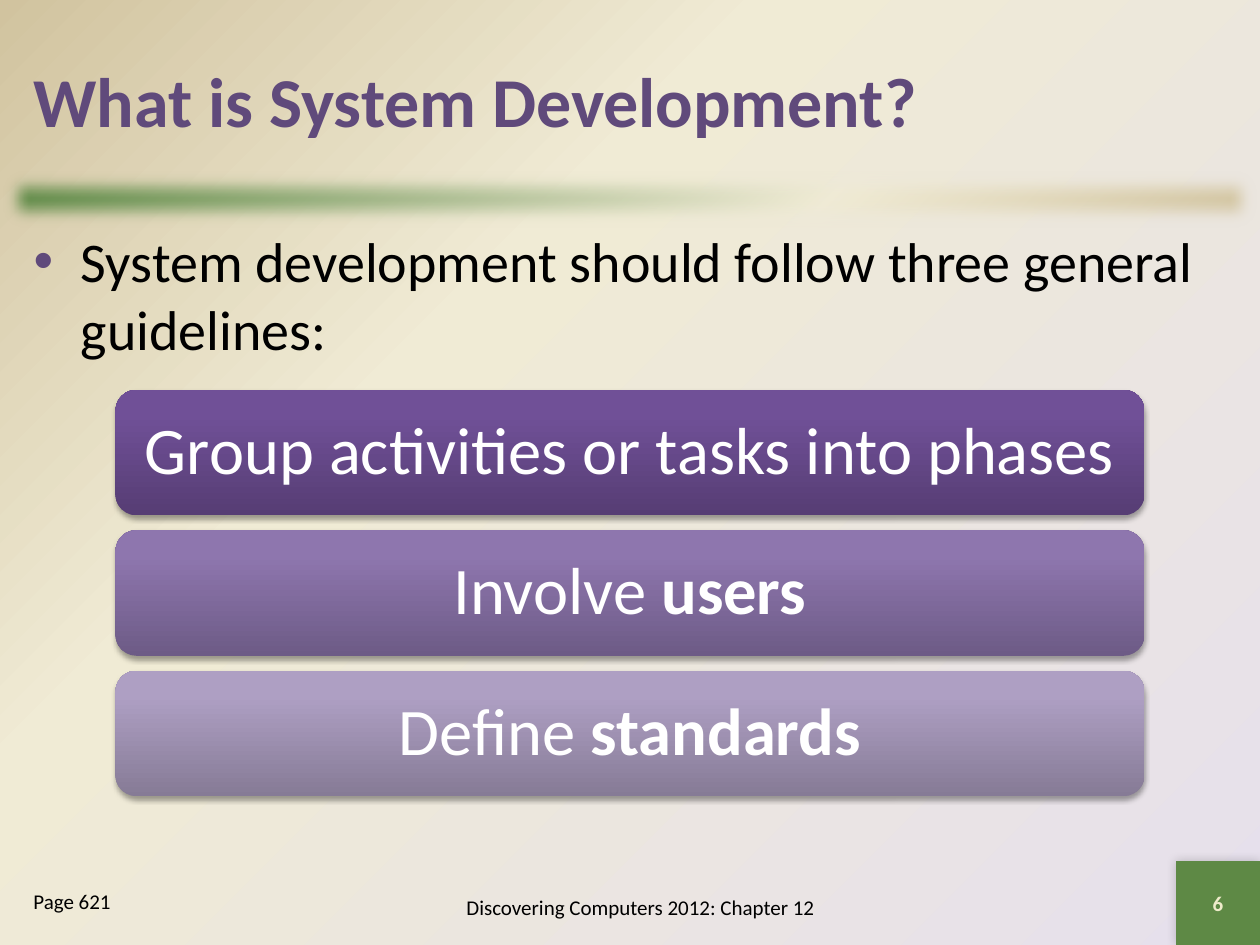
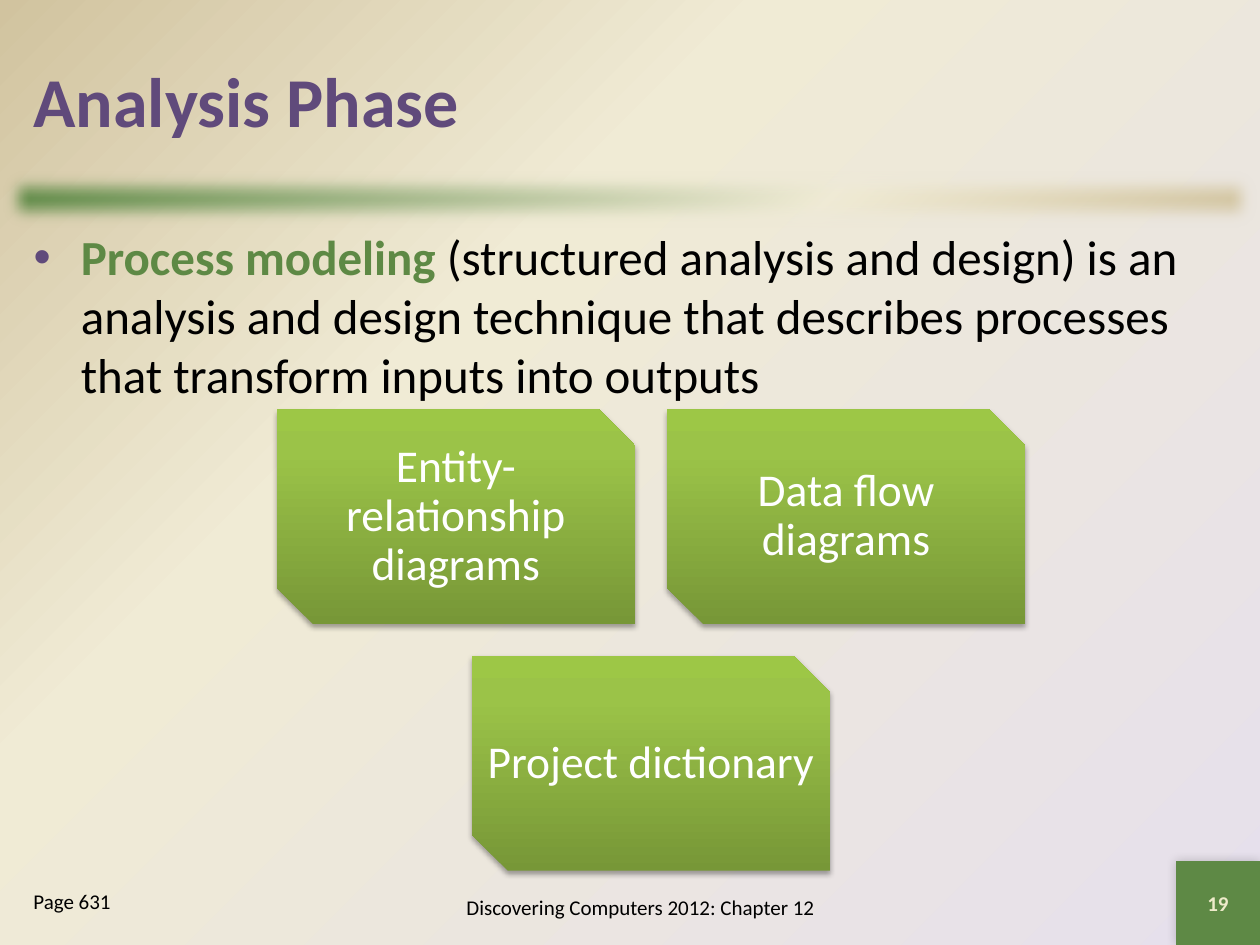
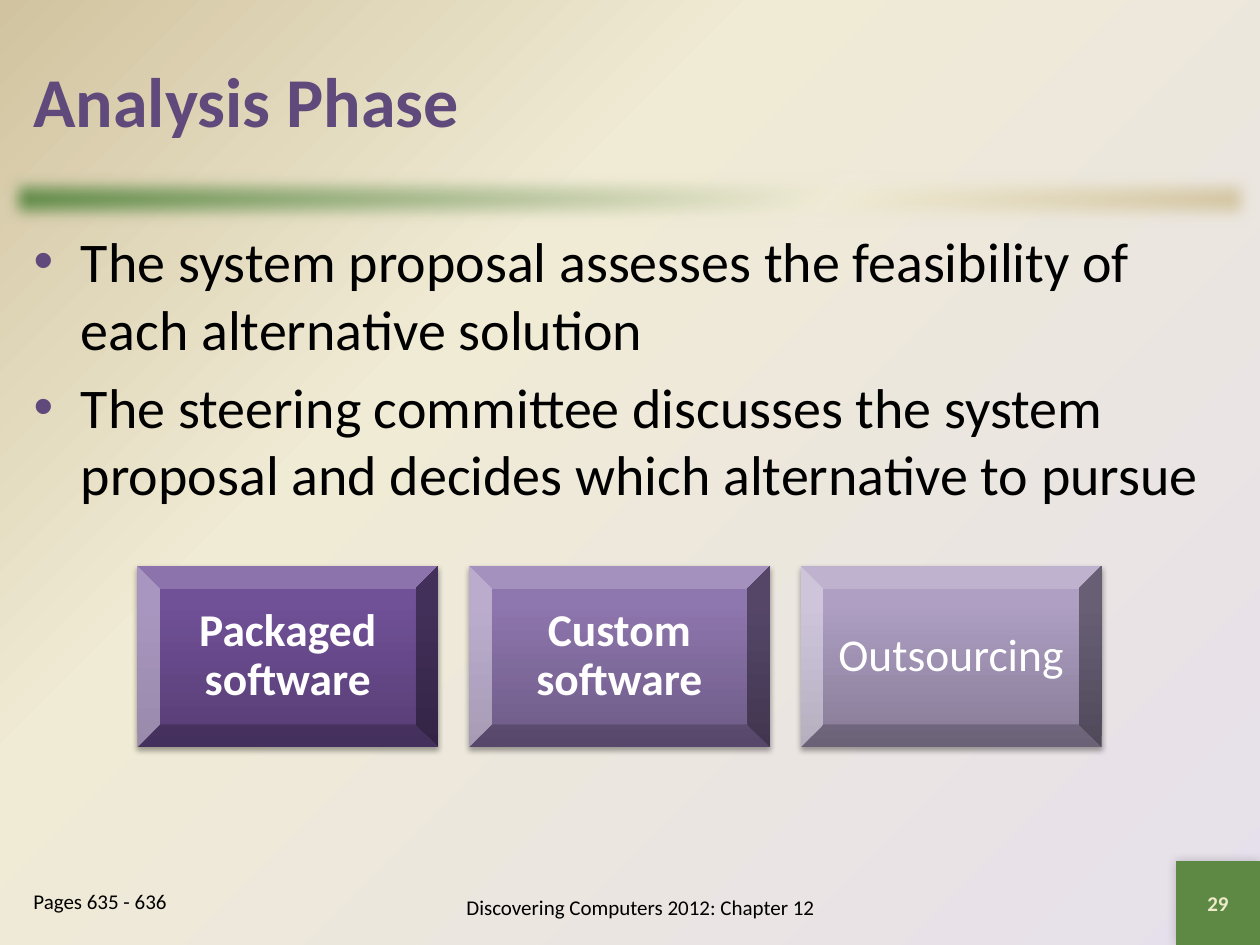
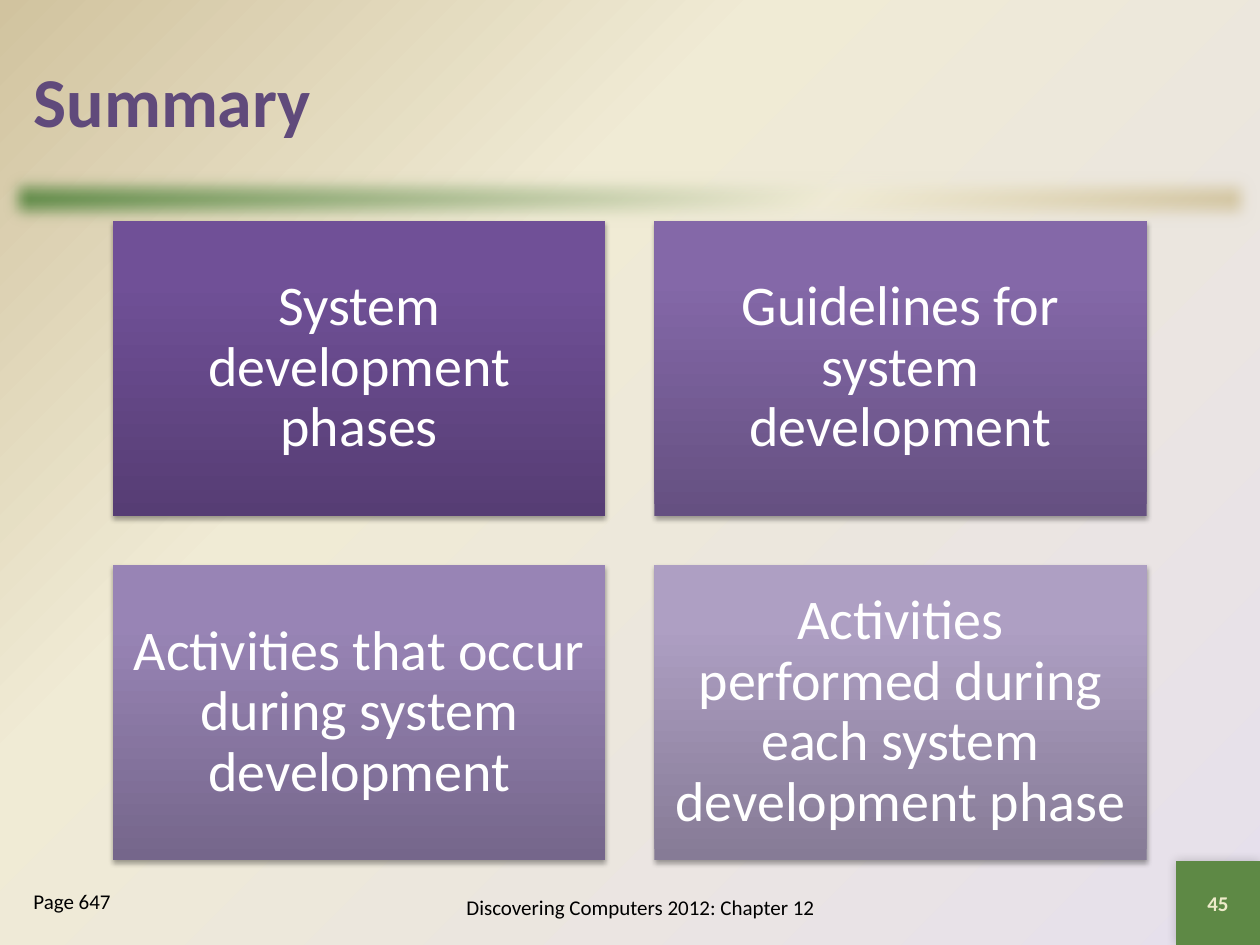
from dataclasses import dataclass
from itertools import count

from lxml.etree import SubElement
from pptx import Presentation
from pptx.dml.color import RGBColor
from pptx.enum.shapes import MSO_SHAPE
from pptx.enum.text import MSO_ANCHOR, MSO_AUTO_SIZE, PP_ALIGN
from pptx.oxml.ns import qn
from pptx.util import Pt

FONT = "Calibri"
PURPLE = "604A7B"
GREEN = "5E8945"
BLACK = "000000"
WHITE = "FFFFFF"
CREAM = "EEEBCA"
BACKGROUND_STOPS = [(0, "E6E0EC"), (65, "F0EBD5"), (100, "D1C39F")]
BAND_STOPS = [(0, GREEN), (65, "F0EBD5"), (100, "D1C39F")]
DEEP_PURPLE = [(0, "563D74"), (80, "705097"), (100, "704F99")]
STRONG_PURPLE = [(0, "655081"), (80, "8468A8"), (100, "8467AA")]
MIDDLE_PURPLE = [(0, "6D5B86"), (80, "8E76AE"), (100, "8E75B0")]
SOFT_PURPLE = [(0, "75668B"), (80, "9884B5"), (100, "9984B7")]
PALE_PURPLE = [(0, "867B96"), (80, "AE9FC3"), (100, "AE9FC4")]
LIME = [(0, "779737"), (80, "9BC348"), (100, "9DC746")]
FOOTER = "Discovering Computers 2012: Chapter 12"
BADGE_BOX = (672, 492, 48, 48)


@dataclass
class Run:
    text: str
    bold: bool = False
    color: str = ""


@dataclass
class CardStyle:
    kind: MSO_SHAPE
    center: float
    top: float
    width: float
    height: float
    gap: float
    size: float
    inset: float


def rgb(color):
    return RGBColor.from_string(color)


def place(shape, left, top, width, height):
    shape.left, shape.top = Pt(left), Pt(top)
    shape.width, shape.height = Pt(width), Pt(height)


def set_gradient(properties, stops, angle=None):
    gradient = properties.makeelement(qn("a:gradFill"), rotWithShape="1")
    stop_list = SubElement(gradient, qn("a:gsLst"))
    for position, color in stops:
        stop = SubElement(stop_list, qn("a:gs"), pos=str(position * 1000))
        SubElement(stop, qn("a:srgbClr"), val=color)
    if angle is None:
        circle = SubElement(gradient, qn("a:path"))
        circle.set("path", "circle")
        SubElement(circle, qn("a:fillToRect"), l="100000", t="100000")
    else:
        SubElement(gradient, qn("a:lin"), ang=str(angle * 60000), scaled="0")
    solid = properties.find(qn("a:solidFill"))
    properties.replace(solid, gradient)


def add_effect(shape, name, **attributes):
    effects = shape.element.spPr.find(qn("a:effectLst"))
    return SubElement(effects, qn(name), **attributes)


def add_shadow(shape, opacity, blur, distance, angle):
    shadow = add_effect(
        shape, "a:outerShdw", blurRad=str(Pt(blur)), dist=str(Pt(distance)),
        dir=str(angle * 60000), algn="ctr", rotWithShape="0",
    )
    color = SubElement(shadow, qn("a:srgbClr"), val=BLACK)
    SubElement(color, qn("a:alpha"), val=str(opacity * 1000))


def add_plain_shape(shapes, kind, box, color):
    shape = shapes.add_shape(kind, *map(Pt, box))
    shape.shadow.inherit = False
    shape.fill.solid()
    shape.fill.fore_color.rgb = rgb(color)
    shape.line.fill.background()
    return shape


def write_paragraph(paragraph, runs, size, color, align=PP_ALIGN.LEFT, bold=False):
    paragraph.alignment = align
    font = paragraph.font
    font.name, font.size, font.bold = FONT, Pt(size), bold
    font.color.rgb = rgb(color)
    for part in runs:
        run = paragraph.add_run()
        run.text = part.text
        if part.bold:
            run.font.bold = True
        if part.color:
            run.font.color.rgb = rgb(part.color)


def add_text(shapes, box, runs, size, color=BLACK, align=PP_ALIGN.CENTER,
             anchor=MSO_ANCHOR.MIDDLE, bold=False):
    text_box = shapes.add_textbox(*map(Pt, box))
    frame = text_box.text_frame
    frame.word_wrap = True
    frame.vertical_anchor = anchor
    write_paragraph(frame.paragraphs[0], runs, size, color, align, bold)
    return frame


def add_card(slide, style, box, runs, stops):
    group = slide.shapes.add_group_shape()
    card = add_plain_shape(group.shapes, style.kind, box, stops[0][1])
    set_gradient(card.element.spPr, stops, 270)
    add_shadow(card, 35, 3.1, 1.8, 90)
    frame = add_text(group.shapes, box, runs, style.size, WHITE)
    frame.margin_left = frame.margin_right = Pt(style.inset)
    frame.margin_top = frame.margin_bottom = Pt(style.inset)
    frame.paragraphs[0].line_spacing = 0.9


def add_cards(slide, style, rows):
    for row_index, row in enumerate(rows):
        row_width = len(row) * (style.width + style.gap) - style.gap
        left = style.center - row_width / 2
        top = style.top + row_index * (style.height + style.gap)
        for column, (runs, stops) in enumerate(row):
            card_left = left + column * (style.width + style.gap)
            box = (card_left, top, style.width, style.height)
            add_card(slide, style, box, runs, stops)


def add_bullets(slide, bullets, size):
    frame = slide.placeholders[1].text_frame
    frame.auto_size = MSO_AUTO_SIZE.NONE
    for index, runs in enumerate(bullets):
        paragraph = frame.add_paragraph() if index else frame.paragraphs[0]
        paragraph.space_before = Pt(size * 0.2 if index else 0)
        properties = paragraph._p.get_or_add_pPr()
        bullet_color = SubElement(properties, qn("a:buClr"))
        SubElement(bullet_color, qn("a:srgbClr"), val=PURPLE)
        write_paragraph(paragraph, runs, size, BLACK)


def add_slide(presentation, layout_name, title, pages, number):
    layout = presentation.slide_layouts.get_by_name(layout_name)
    slide = presentation.slides.add_slide(layout)
    frame = slide.shapes.title.text_frame
    frame.auto_size = MSO_AUTO_SIZE.NONE
    write_paragraph(frame.paragraphs[0], [Run(title)], 40, PURPLE, bold=True)
    add_text(slide.shapes, (216, 500.5, 300, 36), [Run(FOOTER)], 12)
    add_text(slide.shapes, BADGE_BOX, [Run(number)], 12, CREAM, bold=True)
    add_text(slide.shapes, (12, 504, 132, 36), [Run(pages)], 12,
             align=PP_ALIGN.LEFT, anchor=MSO_ANCHOR.TOP)
    return slide


def style_master(presentation, slide):
    master = presentation.slide_master
    master.background.fill.solid()
    set_gradient(master.element.xpath(".//p:bgPr")[0], BACKGROUND_STOPS)
    title, body = master.placeholders[0], master.placeholders[1]
    place(title, 12, 12, 696, 90)
    title.text_frame.vertical_anchor = MSO_ANCHOR.MIDDLE
    place(body, 12, 126, 696, 366)

    band = add_plain_shape(slide.shapes, MSO_SHAPE.RECTANGLE, (0, 96, 720, 36), GREEN)
    set_gradient(band.element.spPr, BAND_STOPS, 45)
    add_effect(band, "a:softEdge", rad=str(Pt(10)))
    badge = add_plain_shape(slide.shapes, MSO_SHAPE.RECTANGLE, BADGE_BOX, GREEN)
    add_shadow(badge, 20, 6, 0, 225)
    for shape, identifier in zip((band, badge), count(20)):
        shape.element.xpath("./p:nvSpPr/p:cNvPr")[0].set("id", str(identifier))
        title.element.addprevious(shape.element)


def build_guidelines(presentation):
    slide = add_slide(presentation, "Title and Content",
                      "What is System Development?", "Page 621", "6")
    add_bullets(slide, [
        [Run("System development should follow three general guidelines:")],
    ], 32)
    style = CardStyle(MSO_SHAPE.ROUNDED_RECTANGLE, 360, 222.75, 588, 71.75, 8.5, 38, 11.5)
    add_cards(slide, style, [
        [([Run("Group activities or tasks into phases")], DEEP_PURPLE)],
        [([Run("Involve "), Run("users", True)], MIDDLE_PURPLE)],
        [([Run("Define "), Run("standards", True)], PALE_PURPLE)],
    ])
    return slide


def build_process_modeling(presentation):
    slide = add_slide(presentation, "Title and Content",
                      "Analysis Phase", "Page 631", "19")
    add_bullets(slide, [[
        Run("Process modeling ", True, GREEN),
        Run("(structured analysis and design) is an analysis and design technique "
            "that describes processes that transform inputs into outputs"),
    ]], 28)
    style = CardStyle(MSO_SHAPE.SNIP_2_DIAG_RECTANGLE, 372, 234, 204.5, 122.5, 18.5, 26, 7.8)
    add_cards(slide, style, [
        [([Run("Entity-relationship diagrams")], LIME),
         ([Run("Data flow diagrams")], LIME)],
        [([Run("Project dictionary")], LIME)],
    ])


def build_alternatives(presentation):
    slide = add_slide(presentation, "Title and Content",
                      "Analysis Phase", "Pages 635 - 636", "29")
    add_bullets(slide, [
        [Run("The system proposal assesses the feasibility of each alternative solution")],
        [Run("The steering committee discusses the system proposal and decides "
             "which alternative to pursue")],
    ], 32)
    style = CardStyle(MSO_SHAPE.BEVEL, 354, 323.5, 172, 103.5, 17.5, 26, 7.8)
    add_cards(slide, style, [[
        ([Run("Packaged software", True)], DEEP_PURPLE),
        ([Run("Custom software", True)], MIDDLE_PURPLE),
        ([Run("Outsourcing")], PALE_PURPLE),
    ]])


def build_summary(presentation):
    slide = add_slide(presentation, "Title Only", "Summary", "Page 647", "45")
    style = CardStyle(MSO_SHAPE.RECTANGLE, 360, 126, 281.25, 168.75, 28, 32, 9.6)
    add_cards(slide, style, [
        [([Run("System development phases")], DEEP_PURPLE),
         ([Run("Guidelines for system development")], STRONG_PURPLE)],
        [([Run("Activities that occur during system development")], SOFT_PURPLE),
         ([Run("Activities performed during each system development phase")],
          PALE_PURPLE)],
    ])


def main():
    presentation = Presentation()
    presentation.slide_width, presentation.slide_height = Pt(720), Pt(540)
    first_slide = build_guidelines(presentation)
    style_master(presentation, first_slide)
    build_process_modeling(presentation)
    build_alternatives(presentation)
    build_summary(presentation)
    presentation.save("out.pptx")


if __name__ == "__main__":
    main()
